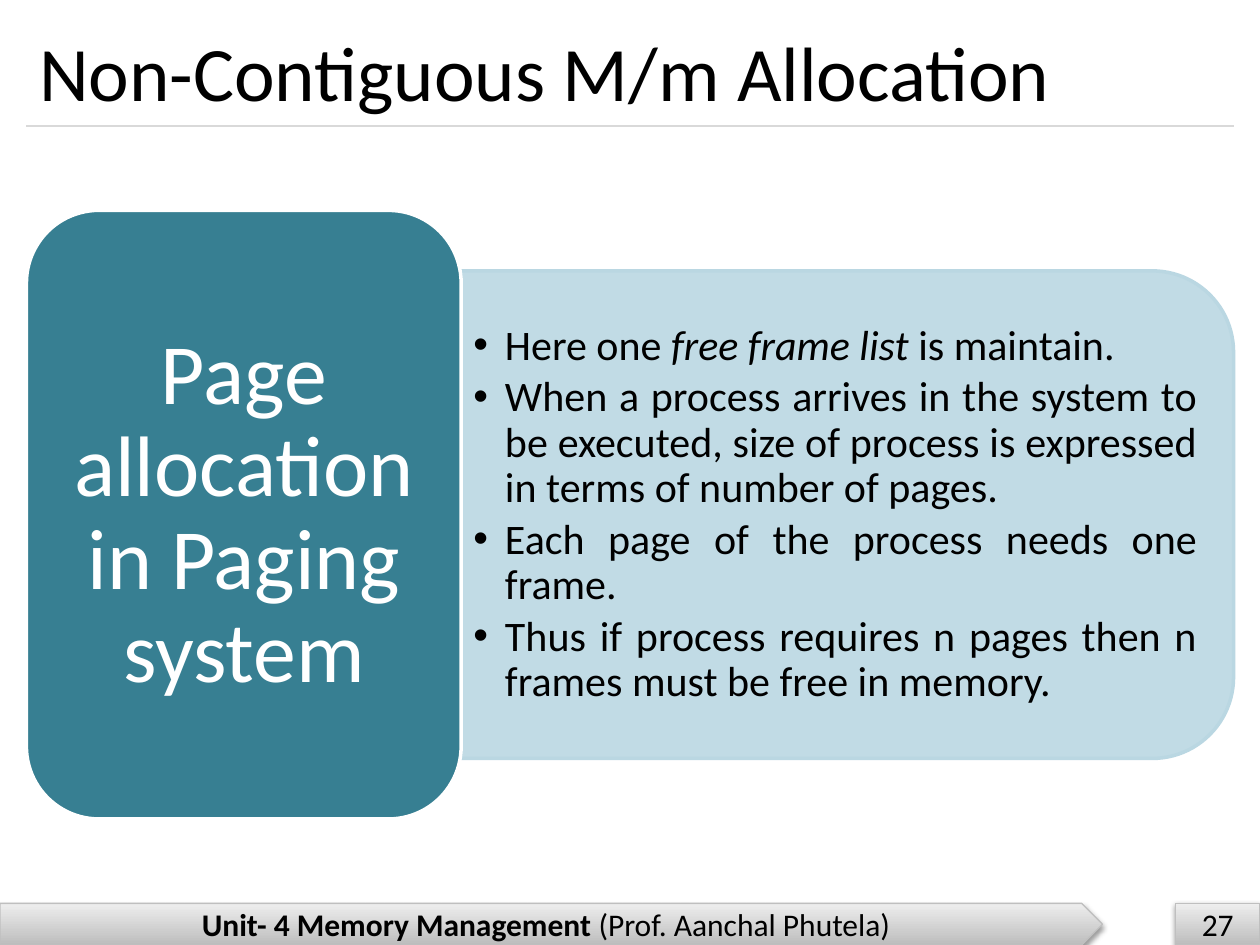
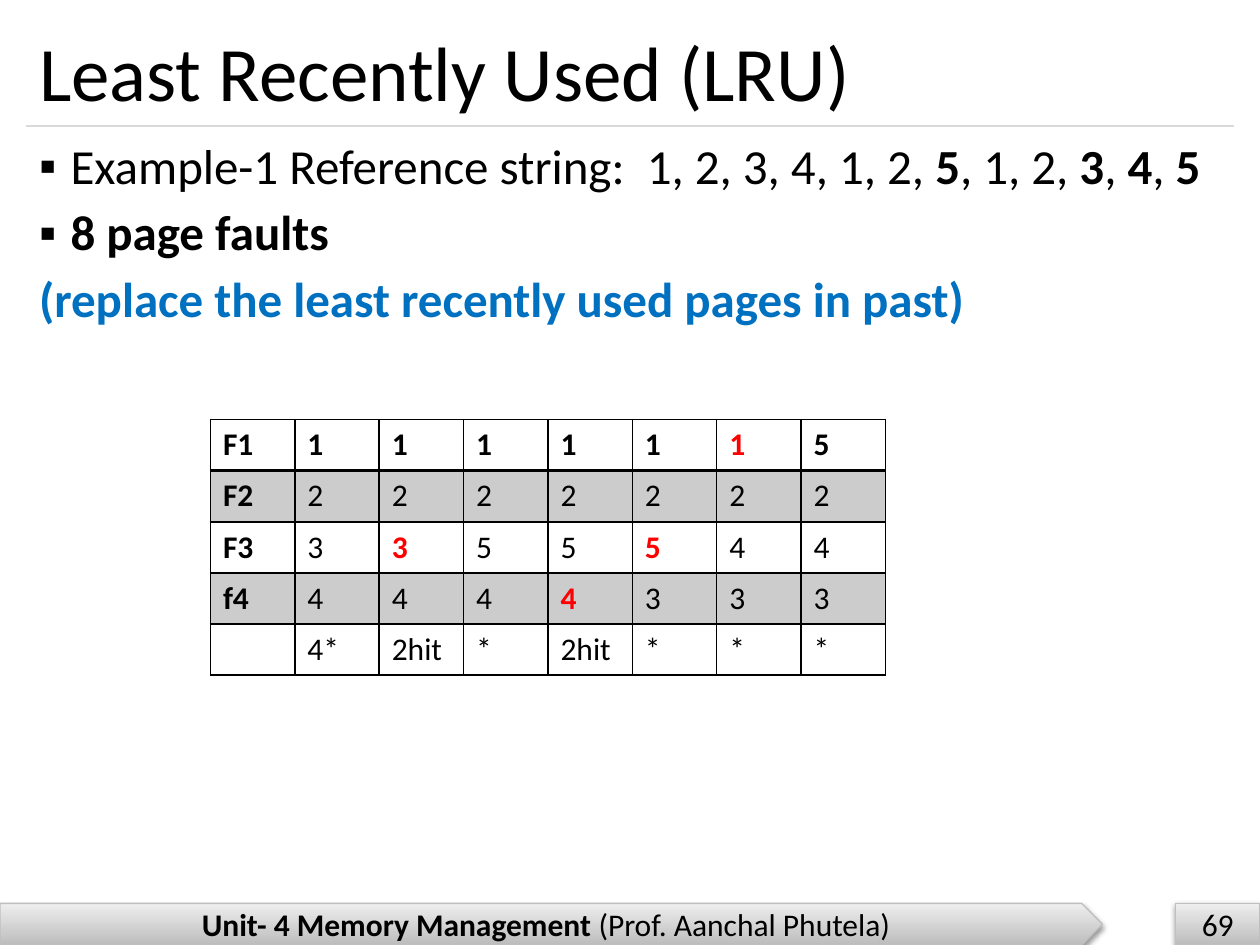
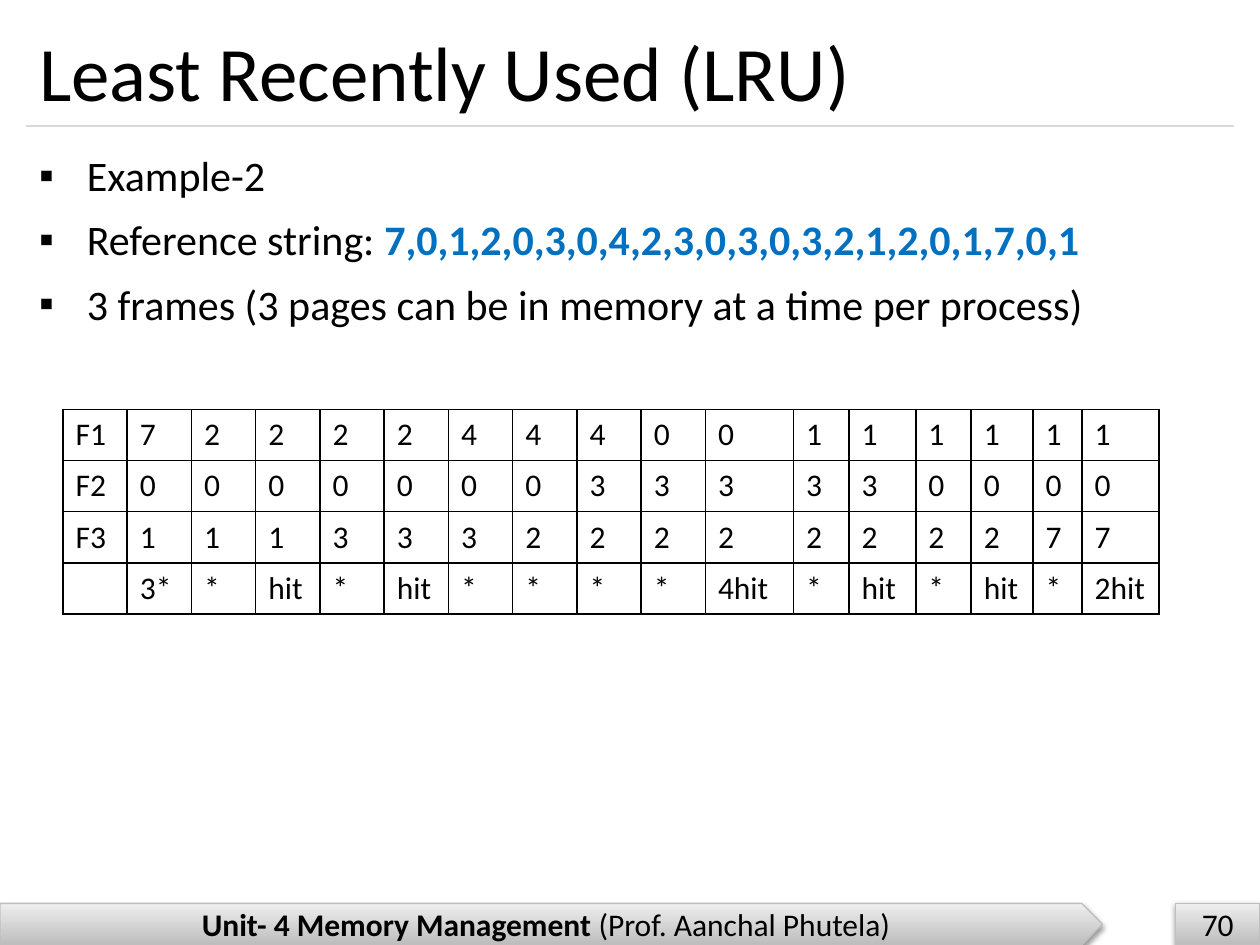
from lxml import etree
from pptx import Presentation
from pptx import util as u
from pptx.dml.color import RGBColor
from pptx.enum import shapes, text
from pptx.oxml.ns import qn

BLACK = RGBColor(0x00, 0x00, 0x00)
WHITE = RGBColor(0xFF, 0xFF, 0xFF)
RED = RGBColor(0xFF, 0x00, 0x00)
BLUE = RGBColor(0x00, 0x70, 0xC0)
TEAL = RGBColor(0x37, 0x7F, 0x92)
PALE = RGBColor(0xC1, 0xDB, 0xE5)
PALE_EDGE = RGBColor(0xBA, 0xD7, 0xE2)
BAND_DARK = RGBColor(0xBD, 0xBD, 0xBD)
BAND_LIGHT = RGBColor(0xEE, 0xEE, 0xEE)
BAND_EDGE = RGBColor(0xBF, 0xBF, 0xBF)
RULE = RGBColor(0xD9, 0xD9, 0xD9)
STRIPE = RGBColor(0xCC, 0xCC, 0xCC)
FONT = "Calibri"
SHAPE = shapes.MSO_SHAPE


def add_runs(p, runs, size, color=BLACK):
    for content, *style in runs:
        r = p.add_run()
        r.text = content
        r.font.name = FONT
        r.font.size = u.Pt(size)
        r.font.bold = "b" in style
        r.font.italic = "i" in style
        r.font.color.rgb = BLUE if "blue" in style else RED if "red" in style else color


def add_list(tf, items, size, bullet, indent, line, before=0, after=0):
    tf.word_wrap = True
    tf.auto_size = text.MSO_AUTO_SIZE.NONE
    for i, (marked, runs) in enumerate(items):
        p = tf.add_paragraph() if i else tf.paragraphs[0]
        pPr = p._p.get_or_add_pPr()
        step = u.Inches(indent) if marked else 0
        pPr.set("marL", str(step))
        pPr.set("indent", str(-step))
        if marked:
            etree.SubElement(pPr, qn("a:buFont"), typeface="Arial")
            etree.SubElement(pPr, qn("a:buChar"), char=bullet)
        else:
            etree.SubElement(pPr, qn("a:buNone"))
        p.line_spacing = line
        p.space_before = u.Pt(before if i else 0)
        p.space_after = u.Pt(after)
        add_runs(p, runs, size)


prs = Presentation()
prs.slide_width = u.Inches(10)
prs.slide_height = u.Inches(7.5)

slides = []
for layout, title, number in [
    (5, "Non-Contiguous M/m Allocation", "27"),
    (1, "Least Recently Used (LRU)", "69"),
    (1, "Least Recently Used (LRU)", "70"),
]:
    s = prs.slides.add_slide(prs.slide_layouts[layout])
    slides.append(s)

    sp = s.shapes.title
    sp.left, sp.top, sp.width, sp.height = [u.Inches(v) for v in (0.21, 0.12, 9.58, 0.88)]
    tf = sp.text_frame
    tf.vertical_anchor = text.MSO_ANCHOR.MIDDLE
    p = tf.paragraphs[0]
    p.alignment = text.PP_ALIGN.LEFT
    add_runs(p, [(title,)], 44)

    if layout == 1:
        sp = s.placeholders[1]
        sp.left, sp.top, sp.width, sp.height = [u.Inches(v) for v in (0.21, 1.08, 9.58, 5.83)]

    rule = s.shapes.add_connector(
        shapes.MSO_CONNECTOR.STRAIGHT, u.Inches(0.21), u.Inches(1), u.Inches(9.79), u.Inches(1))
    rule.line.color.rgb = RULE
    rule.line.width = u.Pt(0.75)
    etree.SubElement(rule._element.spPr, qn("a:effectLst"))

    for kind, left, width, runs in [
        (SHAPE.PENTAGON, 0, 8.75,
         [("Unit- 4 Memory Management ", "b"), ("(Prof. Aanchal Phutela)",)]),
        (SHAPE.RECTANGLE, 9.33, 0.67, [(number,)]),
    ]:
        sp = s.shapes.add_shape(kind, u.Inches(left), u.Inches(7.17), u.Inches(width), u.Inches(0.33))
        sp.fill.gradient()
        sp.fill.gradient_angle = 90
        for stop, color in zip(sp.fill.gradient_stops, (BAND_DARK, BAND_LIGHT)):
            stop.color.rgb = color
        sp.line.color.rgb = BAND_EDGE
        sp.line.width = u.Pt(0.75)
        sp.shadow.inherit = False
        shadow = etree.SubElement(
            sp._element.spPr.find(qn("a:effectLst")), qn("a:outerShdw"),
            blurRad="40000", dist="20000", dir="5400000", rotWithShape="0")
        tint = etree.SubElement(shadow, qn("a:srgbClr"), val="000000")
        etree.SubElement(tint, qn("a:alpha"), val="38000")
        tf = sp.text_frame
        tf.vertical_anchor = text.MSO_ANCHOR.MIDDLE
        p = tf.paragraphs[0]
        p.alignment = text.PP_ALIGN.CENTER
        add_runs(p, runs, 18)

paging, lru_one, lru_two = slides

for kind, box, turn, fill, edge in [
    (SHAPE.ROUND_2_SAME_RECTANGLE, (4.79, 1.02, 3.87, 6.13), 90, PALE, PALE_EDGE),
    (SHAPE.ROUNDED_RECTANGLE, (0.21, 1.67, 3.45, 4.83), 0, TEAL, WHITE),
]:
    sp = paging.shapes.add_shape(kind, *[u.Inches(v) for v in box])
    sp.rotation = turn
    sp.fill.solid()
    sp.fill.fore_color.rgb = fill
    sp.line.color.rgb = edge
    sp.line.width = u.Pt(2)
    sp.shadow.inherit = False

sp = paging.shapes.add_textbox(u.Inches(3.66), u.Inches(2.34), u.Inches(5.94), u.Inches(3.49))
tf = sp.text_frame
tf.vertical_anchor = text.MSO_ANCHOR.MIDDLE
add_list(tf, [
    (True, [("Here one ",), ("free frame list ", "i"), ("is maintain.",)]),
    (True, [("When a process arrives in the system to be executed, size of process "
             "is expressed in terms of number of pages.",)]),
    (True, [("Each page of the process needs one frame.",)]),
    (True, [("Thus if process requires n pages then n frames must be free in memory.",)]),
], 24, "•", 0.25, 0.9, after=3.6)
for p in tf.paragraphs:
    p.alignment = text.PP_ALIGN.JUSTIFY

sp = paging.shapes.add_textbox(u.Inches(0.38), u.Inches(1.84), u.Inches(3.11), u.Inches(4.5))
tf = sp.text_frame
tf.word_wrap = True
tf.vertical_anchor = text.MSO_ANCHOR.MIDDLE
tf.margin_left = tf.margin_right = u.Inches(0.2)
tf.margin_top = tf.margin_bottom = u.Inches(0.1)
p = tf.paragraphs[0]
p.alignment = text.PP_ALIGN.CENTER
p.line_spacing = 0.9
add_runs(p, [("Page allocation in Paging system",)], 49, WHITE)

add_list(lru_one.placeholders[1].text_frame, [
    (True, [("Example-1 Reference string:  1, 2, 3, 4, 1, 2, ",), ("5", "b"), (", 1, 2, ",),
            ("3", "b"), (", ",), ("4", "b"), (", ",), ("5", "b")]),
    (True, [("8 page faults", "b")]),
    (False, [("(replace the least recently used pages in past)", "b", "blue")]),
], 28, "▪", 0.25, 0.9, before=7.6)

add_list(lru_two.placeholders[1].text_frame, [
    (True, [("Example-2",)]),
    (True, [("Reference string: ",), ("7,0,1,2,0,3,0,4,2,3,0,3,0,3,2,1,2,0,1,7,0,1", "b", "blue")]),
    (True, [("3 frames (3 pages can be in memory at a time per process)",)]),
], 24, "▪", 0.38, 1.14, before=4)

frames_one = [
    "F1 1 1 1 1 1 1 5".split(),
    "F2 2 2 2 2 2 2 2".split(),
    "F3 3 3 5 5 5 4 4".split(),
    "f4 4 4 4 4 3 3 3".split(),
    ["", *"4* 2hit * 2hit * * *".split()],
]
frames_two = [
    "F1 7 2 2 2 2 4 4 4 0 0 1 1 1 1 1 1".split(),
    "F2 0 0 0 0 0 0 0 3 3 3 3 3 0 0 0 0".split(),
    "F3 1 1 1 3 3 3 2 2 2 2 2 2 2 2 7 7".split(),
    ["", *"3* * hit * hit * * * * 4hit * hit * hit * 2hit".split()],
]
replaced_pages = {(0, 6), (2, 2), (2, 5), (3, 4)}

for s, left, top, widths, rows, styled in [
    (lru_one, 1.67, 3.33, [0.67] * 8, frames_one, True),
    (lru_two, 0.5, 3.25, [0.51] * 10 + [0.7, 0.44, 0.53, 0.44, 0.49, 0.39, 0.61], frames_two, False),
]:
    table = s.shapes.add_table(
        len(rows), len(widths), u.Inches(left), u.Inches(top),
        u.Inches(sum(widths)), u.Inches(0.4 * len(rows))).table
    table.first_row = table.horz_banding = False
    for column, width in zip(table.columns, widths):
        column.width = u.Inches(width)
    for i, row in enumerate(rows):
        for j, content in enumerate(row):
            cell = table.cell(i, j)
            tcPr = cell._tc.get_or_add_tcPr()
            for side in ("lnL", "lnR", "lnT", "lnB"):
                heavy = styled and (i, side) in {(0, "lnB"), (1, "lnT")}
                ln = etree.SubElement(tcPr, qn("a:" + side), w=str(u.Pt(2 if heavy else 1)))
                solid = etree.SubElement(ln, qn("a:solidFill"))
                etree.SubElement(solid, qn("a:srgbClr"), val=str(BLACK))
            if styled and i % 2:
                cell.fill.solid()
                cell.fill.fore_color.rgb = STRIPE
            else:
                cell.fill.background()
            if content:
                marks = []
                if styled and (i, j) in replaced_pages:
                    marks = ["b", "red"]
                elif styled and (i == 0 or j == 0):
                    marks = ["b"]
                add_runs(cell.text_frame.paragraphs[0], [(content, *marks)], 18)

prs.save("out.pptx")
